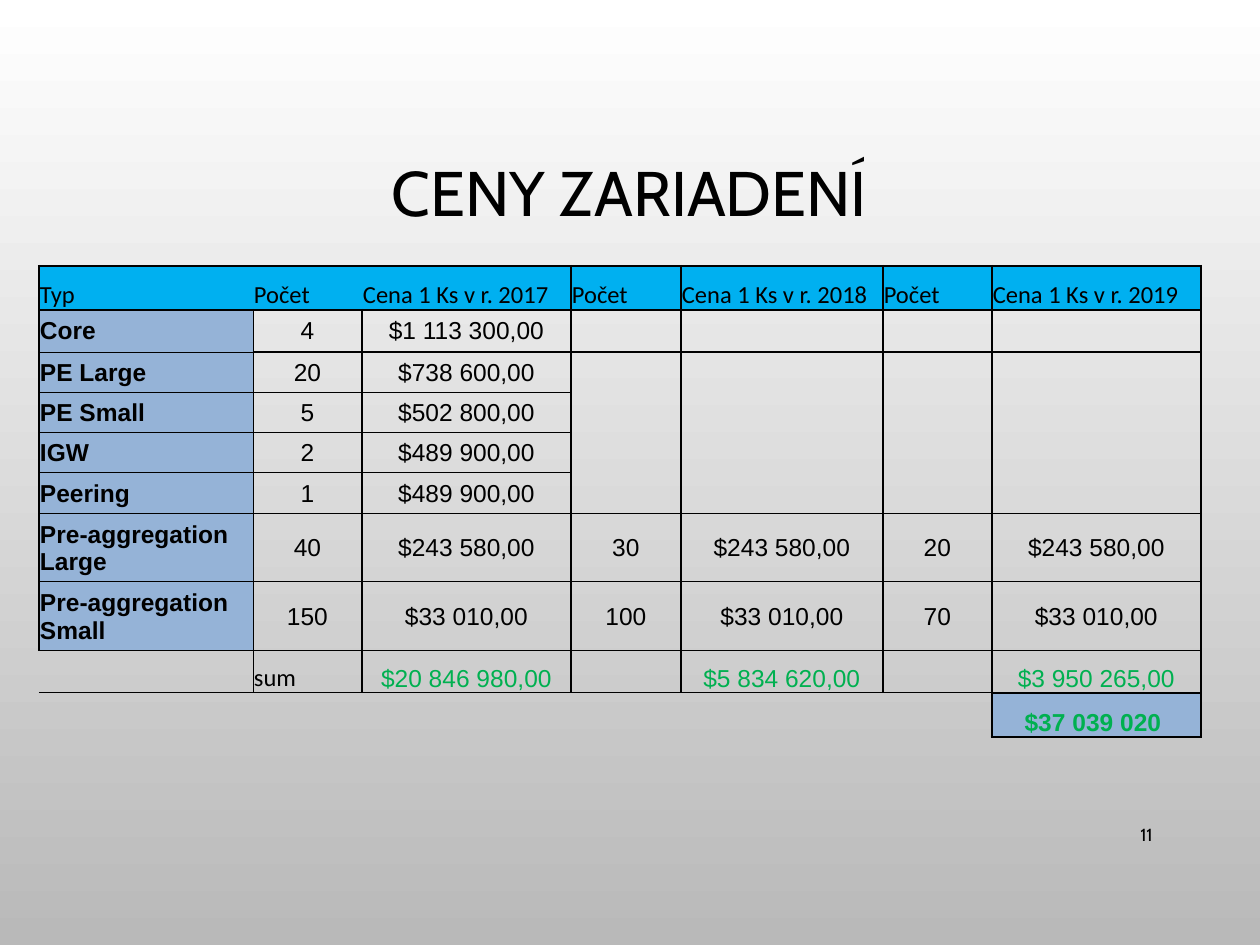
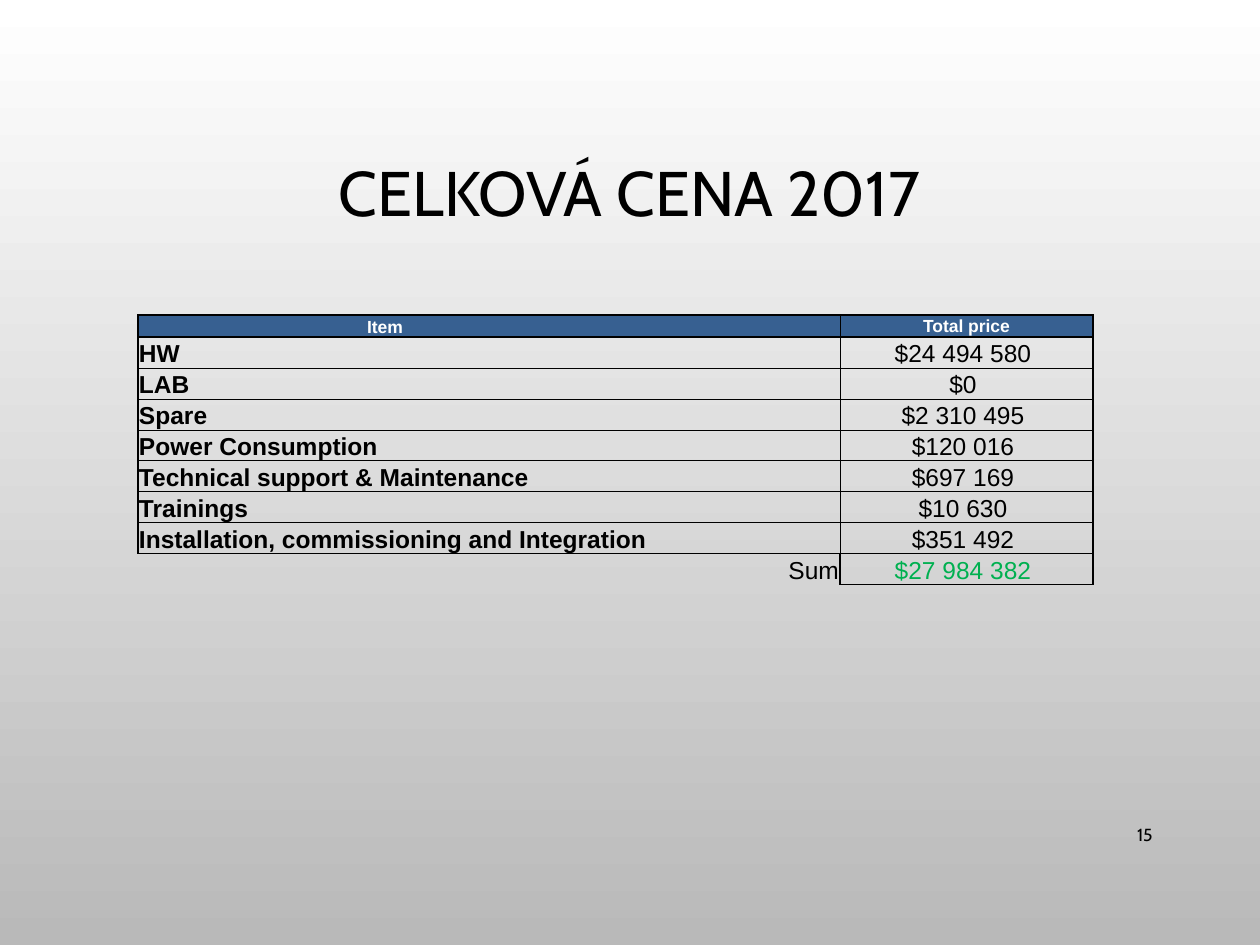
from dataclasses import dataclass

from lxml import etree
from pptx import Presentation
from pptx.dml.color import RGBColor
from pptx.enum.text import MSO_ANCHOR, PP_ALIGN
from pptx.oxml.ns import qn
from pptx.util import Emu, Pt

PX = 914400 // 126
LEFT, CENTER, RIGHT = PP_ALIGN.LEFT, PP_ALIGN.CENTER, PP_ALIGN.RIGHT
MIDDLE, BOTTOM = MSO_ANCHOR.MIDDLE, MSO_ANCHOR.BOTTOM
PLAIN_TABLE = "{2D5ABB26-0587-4C30-8999-92F81FD0307C}"


class Theme:
    black, white, grey = "000000", "FFFFFF", "B9B9B9"
    cyan, pale_blue, navy, green = "00B0F0", "95B3D7", "376091", "00B050"
    display, body, label = "Cabin", "Arial", "Calibri"
    title_pt, text_pt, small_pt = 36, 14, 10


@dataclass
class Style:
    font: str = Theme.body
    size: int = Theme.text_pt
    color: str = Theme.black
    bold: bool = False
    align: int = LEFT
    anchor: int = MIDDLE
    fill: str = ""


TITLE = Style(Theme.display, Theme.title_pt, align=CENTER)
PAGE = Style(Theme.display, Theme.small_pt, align=RIGHT)
VALUE = Style(align=CENTER)
YEAR_HEAD = Style(Theme.label, anchor=BOTTOM, fill=Theme.cyan)
DEVICE = Style(bold=True, fill=Theme.pale_blue)
SUM_LABEL = Style(Theme.label, anchor=BOTTOM)
SUM = Style(color=Theme.green, align=CENTER, anchor=BOTTOM)
TOTAL = Style(color=Theme.green, bold=True, align=CENTER, anchor=BOTTOM, fill=Theme.pale_blue)
ITEM_HEAD = Style(size=Theme.small_pt, color=Theme.white, bold=True, align=CENTER,
                  anchor=BOTTOM, fill=Theme.navy)
PRICE_HEAD = Style(size=Theme.small_pt, color=Theme.white, bold=True, align=CENTER,
                   fill=Theme.navy)
ITEM = Style(bold=True, anchor=BOTTOM)
PRICE = Style(align=CENTER, anchor=BOTTOM)
ITEM_SUM = Style(align=RIGHT, anchor=BOTTOM)


def px(n):
    return Emu(n * PX)


def write(tf, text, style):
    p = tf.paragraphs[0]
    p.alignment = style.align
    if text:
        r = p.add_run()
        r.text = text
        font = r.font
        font.name, font.size, font.bold = style.font, Pt(style.size), style.bold
        font.color.rgb = RGBColor.from_string(style.color)
    else:
        # An empty cell needs its own text size, or it stretches the row.
        etree.SubElement(p._p, qn("a:endParaRPr"), sz=str(style.size * 100))
    return p


def add_text(slide, box, text, style):
    tf = slide.shapes.add_textbox(*map(px, box)).text_frame
    tf.word_wrap = True
    tf.vertical_anchor = style.anchor
    return write(tf, text, style)


def add_frame(prs, title, number):
    """Blank slide with the shared background, title and page number."""
    slide = prs.slides.add_slide(prs.slide_layouts[6])
    fill = slide.background.fill
    fill.gradient()
    fill.gradient_angle = 270
    for stop, color in zip(fill.gradient_stops, (Theme.white, Theme.grey)):
        stop.color.rgb = RGBColor.from_string(color)
    add_text(slide, (94, 86, 1071, 220), title, TITLE).line_spacing = 0.9
    add_text(slide, (1086, 810, 79, 50), number, PAGE)
    return slide


def set_borders(cell, widths):
    tcPr = cell._tc.get_or_add_tcPr()
    sides = [side for side in "LRTB" if side in widths]
    for i, side in enumerate(sides):
        ln = etree.Element(qn(f"a:ln{side}"), w=str(Pt(widths[side])))
        fill = etree.SubElement(ln, qn("a:solidFill"))
        etree.SubElement(fill, qn("a:srgbClr"), val=Theme.black)
        tcPr.insert(i, ln)


def draw_rules(table, across, down):
    """Rules as (grid line, first cell, end cell, points), set on both sides."""
    borders = {}
    for y, start, end, pt in across:
        for c in range(start, end):
            borders.setdefault((y - 1, c), {})["B"] = pt
            borders.setdefault((y, c), {})["T"] = pt
    for x, start, end, pt in down:
        for r in range(start, end):
            borders.setdefault((r, x - 1), {})["R"] = pt
            borders.setdefault((r, x), {})["L"] = pt
    for (r, c), widths in borders.items():
        if 0 <= r < len(table.rows) and 0 <= c < len(table.columns):
            set_borders(table.cell(r, c), widths)


def add_grid(slide, left, top, widths, heights, rows, across, down, spans=()):
    """Table from rows of (texts, styles); spans are (row, first, last column)."""
    frame = slide.shapes.add_table(len(heights), len(widths), px(left), px(top),
                                   px(sum(widths)), px(sum(heights)))
    table = frame.table
    table.first_row = table.horz_banding = False
    frame._element.xpath(".//a:tableStyleId")[0].text = PLAIN_TABLE
    for column, width in zip(table.columns, widths):
        column.width = px(width)
    for row, height, (texts, styles) in zip(table.rows, heights, rows):
        row.height = px(height)
        for cell, text, style in zip(row.cells, texts, styles):
            cell.margin_left = cell.margin_right = cell.margin_top = px(1)
            cell.margin_bottom = 0
            cell.vertical_anchor = style.anchor
            write(cell.text_frame, text, style)
            if style.fill:
                cell.fill.solid()
                cell.fill.fore_color.rgb = RGBColor.from_string(style.fill)
            else:
                cell.fill.background()
    draw_rules(table, across, down)
    for r, first, last in spans:
        table.cell(r, first).merge(table.cell(r, last))


def device_prices(prs):
    slide = add_frame(prs, "CENY ZARIADENÍ", "11")
    head = ["Typ"]
    for year in (2017, 2018, 2019):
        head += ["Počet", f"Cena 1 Ks v r. {year}"]
    devices = [
        ("Core", "$1 113 300,00", "4"),
        ("PE Large", "$738 600,00", "20"),
        ("PE Small", "$502 800,00", "5"),
        ("IGW", "$489 900,00", "2"),
        ("Peering", "$489 900,00", "1"),
        ("Pre-aggregation Large", "$243 580,00", "40", "30", "20"),
        ("Pre-aggregation Small", "$33 010,00", "150", "100", "70"),
    ]
    rows = [(head, [YEAR_HEAD] * 7)]
    for name, price, *counts in devices:
        texts = [name]
        for count in counts:
            texts += [count, price]
        rows.append((texts + [""] * (7 - len(texts)), [DEVICE] + [VALUE] * 6))
    rows.append((["", "sum", "$20 846 980,00", "", "$5 834 620,00", "", "$3 950 265,00"],
                 [VALUE, SUM_LABEL] + [SUM] * 5))
    rows.append(([""] * 6 + ["$37 039 020 "], [VALUE] * 6 + [TOTAL]))

    across = [(0, 0, 7, 1.5), (1, 0, 7, 1.5), (2, 0, 1, 0.5)]
    across += [(y, 0, 3, 0.5) for y in (3, 4, 5)]
    across += [(y, 0, 7, 0.5) for y in (6, 7, 8)]
    across += [(9, 1, 2, 0.5), (9, 2, 3, 1), (9, 4, 5, 1), (9, 6, 7, 1.5), (10, 6, 7, 1.5)]
    down = [(0, 0, 1, 1.5), (0, 1, 8, 1), (1, 1, 9, 0.5), (2, 1, 9, 1),
            (3, 0, 9, 1.5), (4, 6, 9, 1), (5, 0, 9, 1.5), (6, 6, 9, 1),
            (6, 9, 10, 1.5), (7, 0, 10, 1.5)]
    add_grid(slide, 39, 266, [214, 109, 209, 110, 202, 109, 209],
             [44, 42, 41, 40, 40, 41, 68, 69, 42, 44], rows, across, down)


def total_price(prs):
    slide = add_frame(prs, "CELKOVÁ CENA 2017", "15")
    items = [
        ("HW", "$24 494 580 "),
        ("LAB", "$0 "),
        ("Spare", "$2 310 495 "),
        ("Power Consumption", "$120 016 "),
        ("Technical support & Maintenance", "$697 169 "),
        ("Trainings", "$10 630 "),
        ("Installation, commissioning and Integration", "$351 492 "),
    ]
    rows = [(["Item", "", "", "Total price"], [ITEM_HEAD] * 3 + [PRICE_HEAD])]
    rows += [([name, "", "", price], [ITEM] * 3 + [PRICE]) for name, price in items]
    rows.append((["", "", "Sum", "$27 984 382 "], [ITEM_SUM] * 3 + [SUM]))

    across = [(0, 0, 4, 1), (1, 0, 4, 1)] + [(y, 0, 4, 0.5) for y in range(2, 8)]
    across += [(8, 0, 3, 1), (8, 3, 4, 0.5), (9, 3, 4, 1)]
    down = [(0, 0, 8, 1), (3, 0, 8, 0.5), (3, 8, 9, 1), (4, 0, 9, 1)]
    spans = [(r, 1, 2) for r in range(4)] + [(4, 0, 2)] + [(r, 0, 1) for r in range(5, 9)]
    add_grid(slide, 138, 315, [494, 110, 98, 253], [22] + [31] * 8,
             rows, across, down, spans)


def main():
    prs = Presentation()
    prs.slide_width, prs.slide_height = px(1260), px(945)
    device_prices(prs)
    total_price(prs)
    prs.save("out.pptx")


if __name__ == "__main__":
    main()
